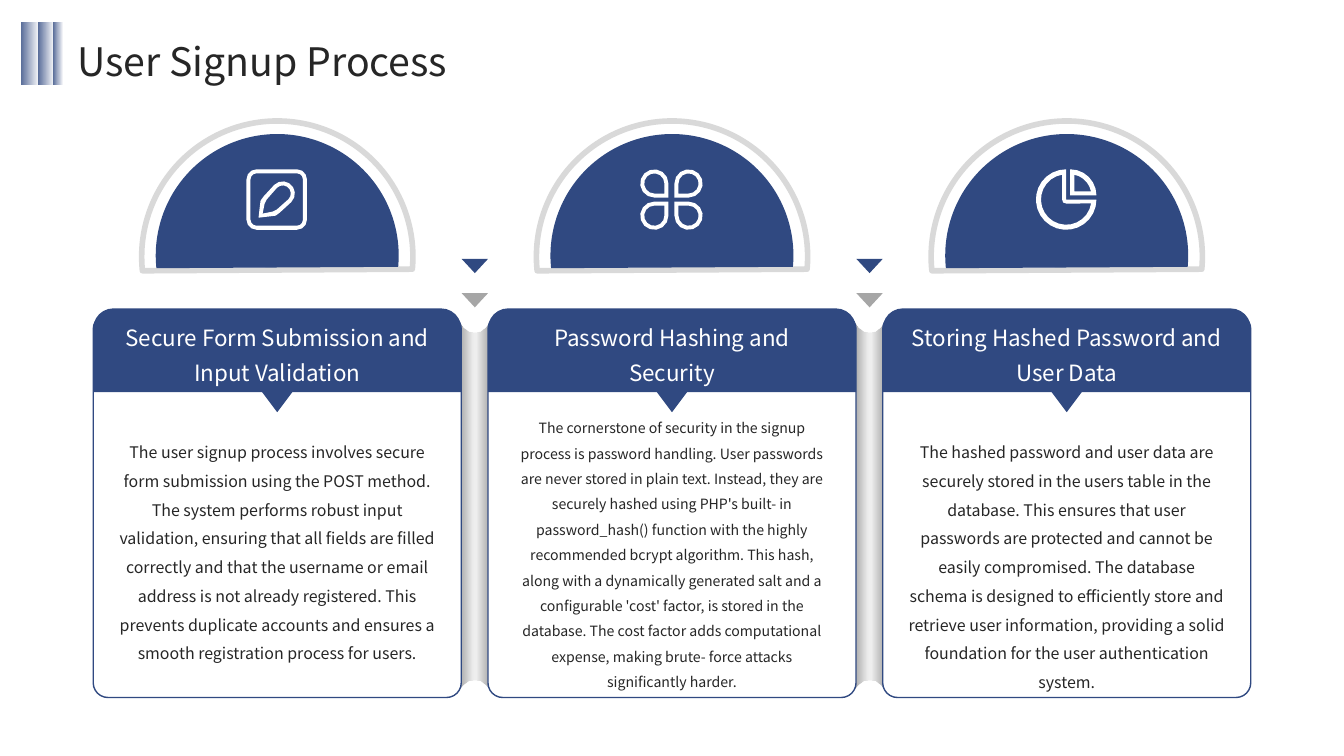
from math import cos, sin, radians
from lxml import etree
from pptx import Presentation
from pptx.dml.color import RGBColor
from pptx.enum.shapes import MSO_SHAPE
from pptx.enum.text import MSO_ANCHOR, PP_ALIGN
from pptx.oxml.ns import qn
from pptx.util import Inches, Pt

CHORD, TRIANGLE, RECT = MSO_SHAPE.CHORD, MSO_SHAPE.ISOSCELES_TRIANGLE, MSO_SHAPE.RECTANGLE
ROUND, ROUND_TOP = MSO_SHAPE.ROUNDED_RECTANGLE, MSO_SHAPE.ROUND_2_SAME_RECTANGLE
TOP, MIDDLE = MSO_ANCHOR.TOP, MSO_ANCHOR.MIDDLE
LEFT, CENTER = PP_ALIGN.LEFT, PP_ALIGN.CENTER
FONT = "Noto Sans CJK SC"
NAVY, GRAY, SILVER, WHITE, INK = "304981", "A6A6A6", "D9D9D9", "FFFFFF", "262626"

TITLE = "User Signup Process"
CARDS = [
    ("Secure Form Submission and Input Validation", 11.4, 4.3,
     "The user signup process involves secure form submission using the POST method. "
     "The system performs robust input validation, ensuring that all fields are filled "
     "correctly and that the username or email address is not already registered. This "
     "prevents duplicate accounts and ensures a smooth registration process for users."),
    ("Password Hashing and Security", 10.1, 4.08,
     "The cornerstone of security in the signup process is password handling. User "
     "passwords are never stored in plain text. Instead, they are securely hashed using "
     "PHP's built- in password_hash() function with the highly recommended bcrypt "
     "algorithm. This hash, along with a dynamically generated salt and a configurable "
     "'cost' factor, is stored in the database. The cost factor adds computational "
     "expense, making brute- force attacks significantly harder."),
    ("Storing Hashed Password and User Data", 11.4, 4.3,
     "The hashed password and user data are securely stored in the users table in the "
     "database. This ensures that user passwords are protected and cannot be easily "
     "compromised. The database schema is designed to efficiently store and retrieve user "
     "information, providing a solid foundation for the user authentication system."),
]
MIDDLE_CARD_X = 4.84
PITCH = 7.83 / 2
TITLE_BARS = [(0.21, 0.17), (0.38, 0.15), (0.53, 0.09)]
CHORD_ANGLES = (212.79, 111.61)
STRIP_EDGE = [(0, 3.19), (0.04, 3.25), (0.09, 3.29), (0.16, 3.3),
              (0.16, 6.74), (0.09, 6.75), (0.04, 6.79), (0, 6.84)]
PENCIL_OUTER = [(0.03, 0.13), (-0.01, 0.16), (-0.09, 0.17), (-0.18, 0.18),
                (-0.17, 0.09), (-0.16, 0.01), (-0.13, -0.03)]
PENCIL_INNER = [(0, 0.1), (-0.04, 0.12), (-0.14, 0.14), (-0.12, 0.04), (-0.1, 0)]

prs = Presentation()
prs.slide_width, prs.slide_height = Inches(13.33), Inches(7.5)
s = prs.slides.add_slide(prs.slide_layouts[6])


def rgb(value):
    return RGBColor.from_string(value)


def style(sp, fill=None, line=None, width=1, fade=None):
    sp.shadow.inherit = False
    if fade:
        sp.fill.gradient()
        sp.fill.gradient_angle = 0
        for stop in sp.fill.gradient_stops:
            stop.color.rgb = rgb(fill)
        for clr, alpha in zip(sp._element.spPr.iter(qn("a:srgbClr")), fade):
            etree.SubElement(clr, qn("a:alpha")).set("val", str(alpha * 1000))
    elif fill:
        sp.fill.solid()
        sp.fill.fore_color.rgb = rgb(fill)
    else:
        sp.fill.background()
    if line:
        sp.line.color.rgb = rgb(line)
        sp.line.width = Pt(width)
    else:
        sp.line.fill.background()


def shape(kind, x, y, w, h, fill=None, adj=(), flip=False, **fmt):
    sp = s.shapes.add_shape(kind, Inches(x), Inches(y), Inches(w), Inches(h))
    for i, value in enumerate(adj):
        sp.adjustments[i] = value
    if flip:
        sp._element.spPr.xfrm.set("flipV", "1")
    style(sp, fill, **fmt)


def outline(contours, cx, cy, fill, **fmt):
    fb = None
    for contour in contours:
        pts = [(Inches(cx + x), Inches(cy + y)) for x, y in contour]
        if fb is None:
            fb = s.shapes.build_freeform(*pts[0])
        else:
            fb.move_to(*pts[0])
        fb.add_line_segments(pts[1:], close=True)
    style(fb.convert_to_shape(), fill, **fmt)


def text(content, x, y, w, h, size, color, spacing, align=CENTER, anchor=MIDDLE, inset=True):
    tf = s.shapes.add_textbox(Inches(x), Inches(y), Inches(w), Inches(h)).text_frame
    tf.word_wrap = True
    tf.vertical_anchor = anchor
    if not inset:
        tf.margin_left = tf.margin_right = tf.margin_top = tf.margin_bottom = 0
    p = tf.paragraphs[0]
    p.alignment, p.line_spacing = align, spacing
    r = p.add_run()
    r.text = content
    r.font.name, r.font.size, r.font.color.rgb = FONT, Pt(size), rgb(color)
    for tag in ("a:ea", "a:cs"):
        etree.SubElement(r.font._element, qn(tag)).set("typeface", FONT)


def arc(cx, cy, radius, start, end, steps):
    angles = [radians(start + (end - start) * i / steps) for i in range(steps + 1)]
    return [(cx + radius * cos(a), cy + radius * sin(a)) for a in angles]


def rounded_square(half, radius):
    c = half - radius
    corners = [(c, c), (-c, c), (-c, -c), (c, -c)]
    return [pt for i, (x, y) in enumerate(corners)
            for pt in arc(x, y, radius, 90 * i, 90 * i + 90, 3)]


def petal(radius, sx, sy):
    pts = arc(-0.17, -0.16, radius, 90, 360, 10) + [(-0.17 + radius, -0.16 + radius)]
    return [(sx * x, sy * y) for x, y in pts]


pencil_icon = [rounded_square(0.3, 0.1), rounded_square(0.26, 0.06),
               arc(0.06, -0.06, 0.12, 225, 405, 7) + PENCIL_OUTER,
               arc(0.06, -0.06, 0.08, 225, 405, 7) + PENCIL_INNER]
clover_icon = [petal(radius, sx, sy) for sx in (1, -1) for sy in (1, -1)
               for radius in (0.14, 0.1)]
pie_icon = [arc(0, 0, 0.3, 0, 270, 20) + [(0, 0)],
            arc(0, 0, 0.25, 9, 261, 18) + [(-0.04, 0), (-0.03, 0.03), (0, 0.04)],
            arc(0.04, -0.04, 0.26, 270, 360, 6) + [(0.04, -0.04)],
            arc(0.04, -0.04, 0.21, 281, 349, 5) + [(0.08, -0.08)]]
ICONS = [pencil_icon, clover_icon, pie_icon]

for i in (1, 0, -1):
    shape(CHORD, 5.32 + PITCH * i, 1.2, 2.69, 2.69, adj=CHORD_ANGLES, flip=True,
          line=SILVER, width=4)
for i in (-1, 0, 1):
    shape(CHORD, 5.46 + PITCH * i, 1.33, 2.41, 2.41, NAVY, CHORD_ANGLES, True)

for i in range(2):
    for y, color in ((2.57, NAVY), (2.91, GRAY)):
        shape(TRIANGLE, 4.58 + PITCH * i, y, 0.26, 0.14, color, flip=True)
for i in range(2):
    for edge, side, fade in ((4.56, 1, (100, 0)), (4.86, -1, (0, 100))):
        outline([[(side * x, y) for x, y in STRIP_EDGE]], edge + PITCH * i, 0, GRAY, fade=fade)

card_lefts = [MIDDLE_CARD_X + PITCH * i for i in (-1, 0, 1)]
for x in card_lefts:
    shape(ROUND, x, 3.12, 3.65, 3.8, WHITE, (0.04,), line=NAVY)
    shape(ROUND_TOP, x, 3.06, 3.65, 0.83, NAVY, (0.24, 0))
    shape(TRIANGLE, x + 1.66, 3.87, 0.33, 0.22, NAVY, flip=True)

for x, icon, (heading, size, body_y, body) in zip(card_lefts, ICONS, CARDS):
    outline(icon, x + 1.82, 1.98, WHITE)
    text(body, x + 0.25, body_y, 3.15, 2.27, size, INK, 1.5, anchor=TOP, inset=False)
    text(heading, x + 0.25, 3.16, 3.15, 0.65, 16, WHITE, 1.3, inset=False)

text(TITLE, 0.67, 0.25, 11.88, 0.56, 28, INK, 1.3, align=LEFT)
for x, w in TITLE_BARS:
    shape(RECT, x, 0.22, w, 0.62, NAVY, fade=(80, 0))

prs.save("out.pptx")
